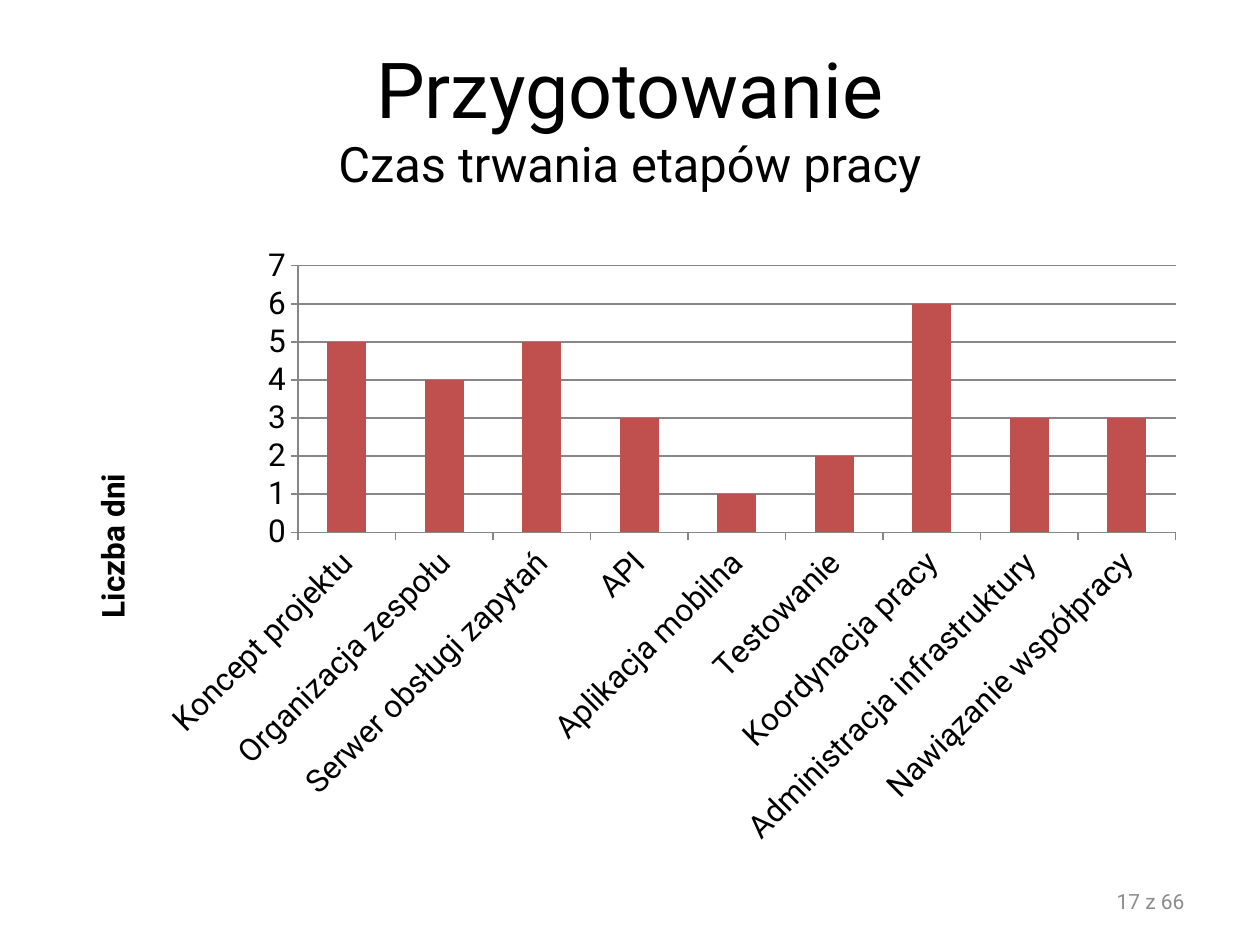
"""Build a slide with a column chart of how long each stage of work took."""
from dataclasses import dataclass

from lxml import etree
from pptx import Presentation
from pptx import util as u
from pptx.chart import data as chart_data
from pptx.dml import color
from pptx.enum import chart as charts
from pptx.enum import text
from pptx.oxml import ns


@dataclass(frozen=True)
class Theme:
    font: str = "Roboto"
    ink: str = "000000"
    muted: str = "8C8C8C"
    line: str = "878787"
    bar: str = "C0504D"
    title: float = 44.1
    subtitle: float = 27.9
    chart: float = 18
    footer: float = 12
    rule: float = 0.75


THEME = Theme()
CHART_WIDTH, CHART_HEIGHT = 22.86, 12.57
STAGE_DAYS = {
    "Koncept projektu": 5,
    "Organizacja zespołu": 4,
    "Serwer obsługi zapytań": 5,
    "API": 3,
    "Aplikacja mobilna": 1,
    "Testowanie": 2,
    "Koordynacja pracy": 6,
    "Administracja infrastruktury": 3,
    "Nawiązanie współpracy": 3,
}


def style_font(font, size, tint=THEME.ink, bold=False):
    font.name = THEME.font
    font.size = u.Pt(size)
    font.bold = bold
    font.color.rgb = color.RGBColor.from_string(tint)


def style_line(line):
    line.color.rgb = color.RGBColor.from_string(THEME.line)
    line.width = u.Pt(THEME.rule)


def place(box, left, top, width, height):
    box.left, box.top = u.Cm(left), u.Cm(top)
    box.width, box.height = u.Cm(width), u.Cm(height)


def set_layout(parent, index, left, top, size=None):
    for old in parent.findall(ns.qn("c:layout")):
        parent.remove(old)
    settings = {"layoutTarget": "inner"} if size else {}
    settings.update(xMode="edge", yMode="edge",
                    x=left / CHART_WIDTH, y=top / CHART_HEIGHT)
    if size:
        settings.update(w=size[0] / CHART_WIDTH, h=size[1] / CHART_HEIGHT)
    layout = etree.Element(ns.qn("c:layout"))
    manual = etree.SubElement(layout, ns.qn("c:manualLayout"))
    for name, value in settings.items():
        etree.SubElement(manual, ns.qn(f"c:{name}")).set("val", str(value))
    parent.insert(index, layout)


def rotate_text(body, degrees):
    body.set("rot", str(degrees * 60000))
    body.set("vert", "horz")


def add_title(page, heading, subheading):
    box = page.shapes.title
    place(box, 1.27, 0.76, 22.86, 3.18)
    frame = box.text_frame
    frame.auto_size = text.MSO_AUTO_SIZE.NONE
    frame.vertical_anchor = text.MSO_ANCHOR.MIDDLE
    para = frame.paragraphs[0]
    para.text = f"{heading}\v{subheading}"
    para.alignment = text.PP_ALIGN.CENTER
    for span, size in zip(para.runs, (THEME.title, THEME.subtitle)):
        style_font(span.font, size)


def style_axis(axis):
    axis.major_tick_mark = charts.XL_TICK_MARK.OUTSIDE
    axis.minor_tick_mark = charts.XL_TICK_MARK.NONE
    style_line(axis.format.line)
    style_font(axis.tick_labels.font, THEME.chart)


def add_axis_title(axis, caption):
    frame = axis.axis_title.text_frame
    frame.text = caption
    style_font(frame.paragraphs[0].runs[0].font, THEME.chart, bold=True)
    title = axis.axis_title._element
    rotate_text(title.find(".//" + ns.qn("a:bodyPr")), -90)
    set_layout(title, 1, 0.44, 4.72)


def add_column_chart(page, days_by_stage):
    numbers = chart_data.CategoryChartData(number_format="General")
    numbers.categories = list(days_by_stage)
    numbers.add_series("Series 1", list(days_by_stage.values()))
    chart = page.shapes.add_chart(
        charts.XL_CHART_TYPE.COLUMN_CLUSTERED, u.Cm(1.3), u.Cm(4.72),
        u.Cm(CHART_WIDTH), u.Cm(CHART_HEIGHT), numbers).chart
    chart.has_title = chart.has_legend = False
    style_font(chart.font, THEME.chart)

    plot = chart.plots[0]
    plot.gap_width = 150
    plot.vary_by_categories = False
    fill = plot.series[0].format.fill
    fill.solid()
    fill.fore_color.rgb = color.RGBColor.from_string(THEME.bar)

    stages, days = chart.category_axis, chart.value_axis
    for axis in (stages, days):
        style_axis(axis)
    rotate_text(stages._element.txPr.bodyPr, -45)
    days.minimum_scale, days.maximum_scale, days.major_unit = 0, 7, 1
    days.has_major_gridlines = True
    style_line(days.major_gridlines.format.line)
    add_axis_title(days, "Liczba dni")

    area = chart._chartSpace.find(".//" + ns.qn("c:plotArea"))
    set_layout(area, 0, 4.71, 0.64, size=(17.69, 5.37))


def add_page_number(page, label):
    box = page.shapes.add_textbox(0, 0, 0, 0)
    place(box, 18.21, 17.65, 5.92, 1.02)
    frame = box.text_frame
    frame.word_wrap = True
    frame.vertical_anchor = text.MSO_ANCHOR.MIDDLE
    para = frame.paragraphs[0]
    para.text = label
    para.alignment = text.PP_ALIGN.RIGHT
    style_font(para.runs[0].font, THEME.footer, THEME.muted)


def main():
    deck = Presentation()
    deck.slide_width, deck.slide_height = u.Cm(25.4), u.Cm(19.05)
    page = deck.slides.add_slide(deck.slide_layouts.get_by_name("Title Only"))
    add_title(page, "Przygotowanie", "Czas trwania etapów pracy")
    add_column_chart(page, STAGE_DAYS)
    add_page_number(page, "17 z 66")
    deck.save("out.pptx")


if __name__ == "__main__":
    main()
